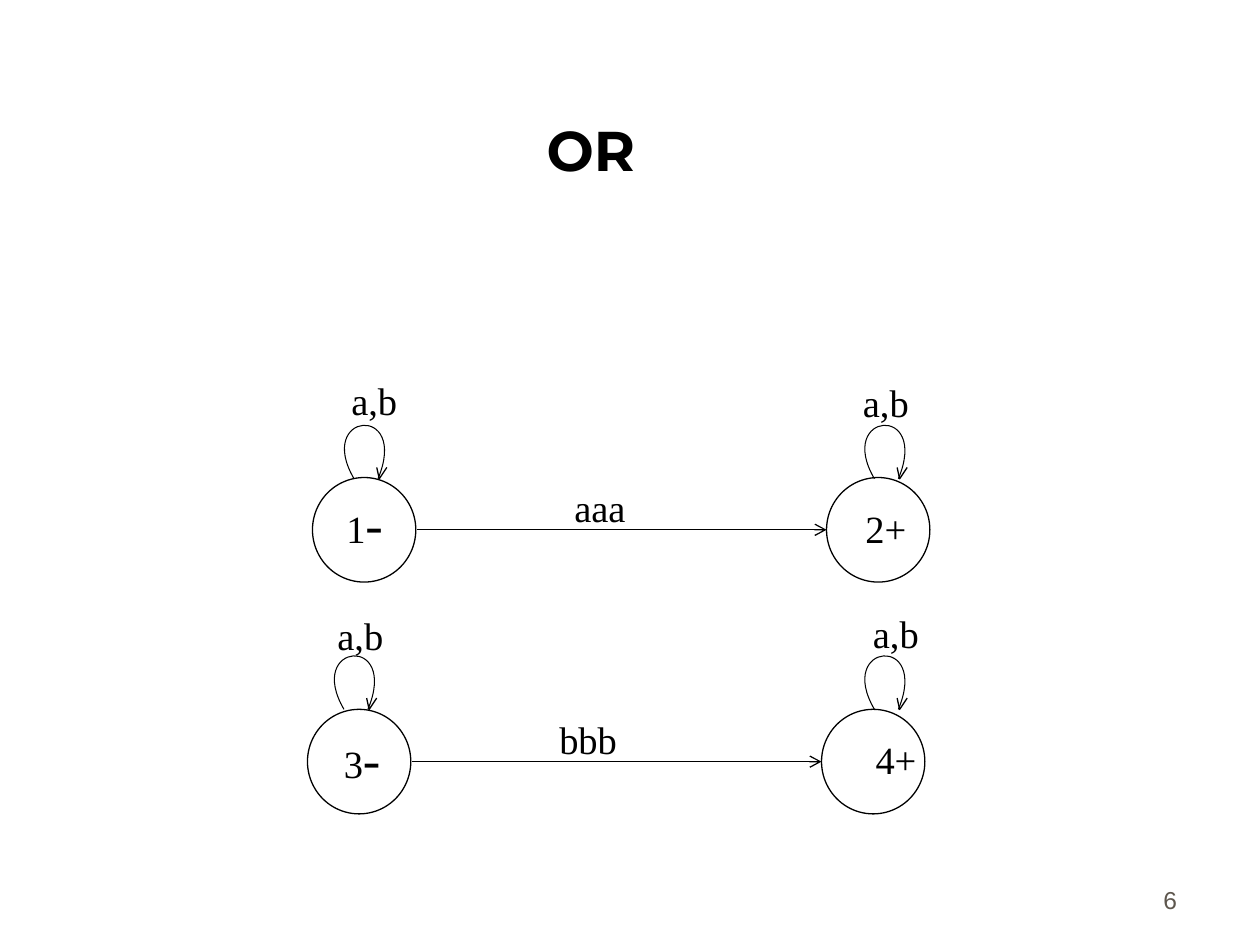
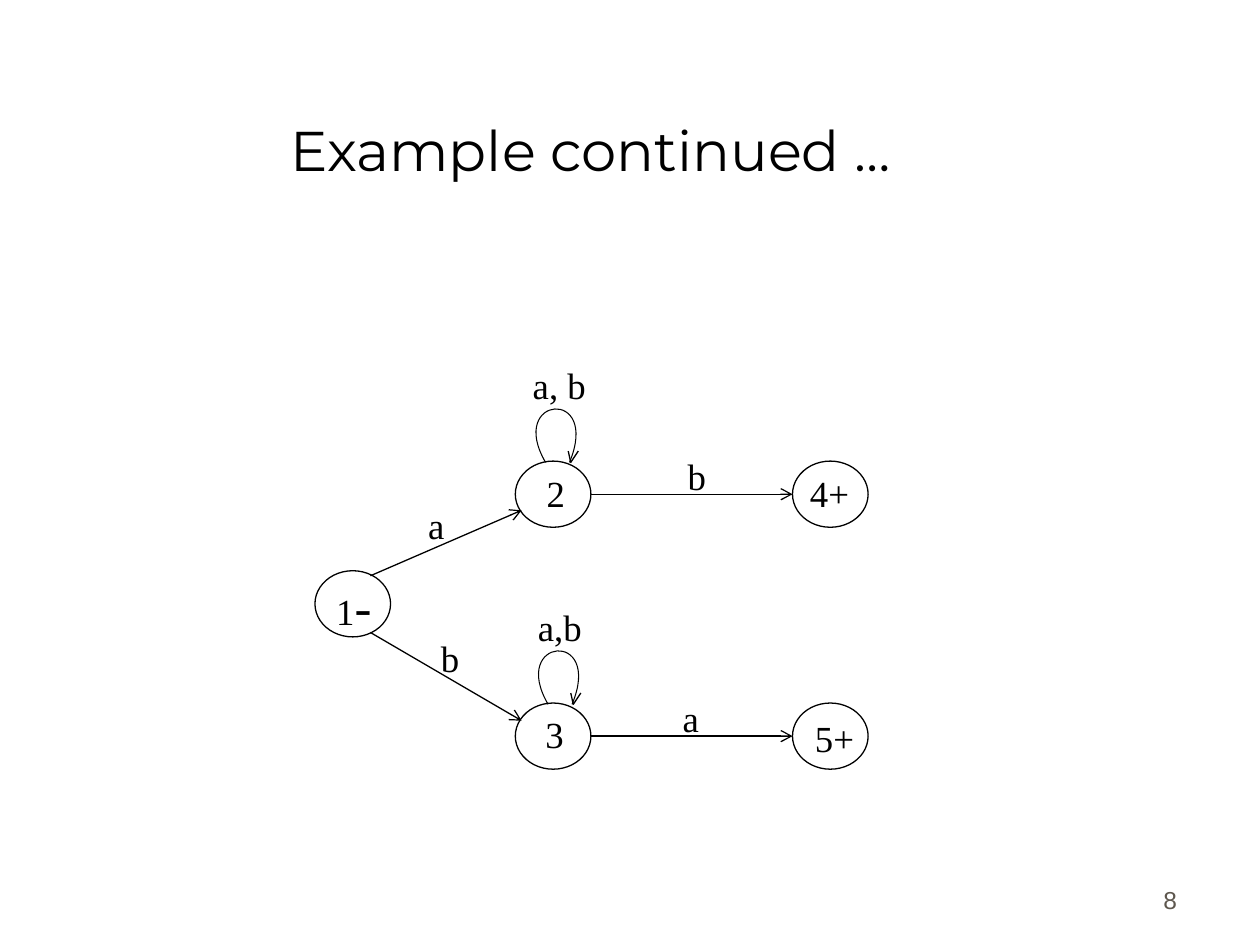
from lxml.etree import SubElement
from pptx import Presentation
from pptx.dml.color import RGBColor
from pptx.enum.shapes import MSO_CONNECTOR, MSO_SHAPE
from pptx.enum.text import MSO_ANCHOR, PP_ALIGN
from pptx.oxml.ns import qn
from pptx.util import Inches, Pt

BLACK = RGBColor(0x00, 0x00, 0x00)
WHITE = RGBColor(0xFF, 0xFF, 0xFF)
NUMBER_GREY = RGBColor(0x5E, 0x57, 0x4E)
TITLE_FONT, LABEL_FONT, NUMBER_FONT = "Montserrat", "Times New Roman", "Arial"
COLUMNS, ROWS = 100, 75
LINE_WIDTH, LOOP_WIDTH = 0.75, 0.6
MINUS_EXTRA = 8
LOOP_CURVE = [(-3.1, -5.3), (4.4, -6), (1.9, 0)]
LOOP_HEAD = [(1.8, -0.9), (2, 0), (2.6, -0.9)]


def grid(*cells):
    """Turn columns or rows of the square grid into lengths."""
    return [Inches(cell * 10 / COLUMNS) for cell in cells]


def add_text(page, area, text, font, size, color=BLACK, bold=False,
             align=PP_ALIGN.LEFT, anchor=MSO_ANCHOR.TOP):
    """Add a one-paragraph text box and return its paragraph."""
    frame = page.shapes.add_textbox(*grid(*area)).text_frame
    frame.word_wrap = True
    frame.vertical_anchor = anchor
    para = frame.paragraphs[0]
    para.text = text
    para.alignment = align
    style_span(para.runs[0], font, size, color, bold)
    return para


def style_span(span, font, size, color=BLACK, bold=False):
    """Give a run its font, size, colour and weight."""
    span.font.name = font
    span.font.size = Pt(size)
    span.font.color.rgb = color
    span.font.bold = bold


def add_page(deck, title, number, bold=False):
    """Add a blank slide with the shared title and page number."""
    page = deck.slides.add_slide(deck.slide_layouts[6])
    add_text(page, (4.4, 2.5, 85, 12.5), title, TITLE_FONT, 32, bold=bold,
             align=PP_ALIGN.CENTER, anchor=MSO_ANCHOR.BOTTOM)
    add_text(page, (73.6, 68.1, 20.8, 5), str(number), NUMBER_FONT, 14,
             NUMBER_GREY, align=PP_ALIGN.RIGHT, anchor=MSO_ANCHOR.BOTTOM)
    return page


def add_label(page, left, top, text, size, box_size):
    """Add a state or edge label; a minus sign is set larger."""
    name, minus, _ = text.partition("-")
    para = add_text(page, (left, top, *box_size), name, LABEL_FONT, size)
    if minus:
        span = para.add_run()
        span.text = minus
        style_span(span, LABEL_FONT, size + MINUS_EXTRA)


def add_state(page, left, top, width, height):
    """Add the circle of a state."""
    circle = page.shapes.add_shape(
        MSO_SHAPE.OVAL, *grid(left, top, width, height))
    circle.shadow.inherit = False
    circle.fill.solid()
    circle.fill.fore_color.rgb = WHITE
    style_line(circle.line)


def style_line(line, width=LINE_WIDTH):
    """Draw a line in black at the given width."""
    line.color.rgb = BLACK
    line.width = Pt(width)


def add_arrow(page, start, end):
    """Add a straight transition with an open arrowhead."""
    arrow = page.shapes.add_connector(
        MSO_CONNECTOR.STRAIGHT, *grid(*start, *end))
    style_line(arrow.line)
    SubElement(arrow.line._get_or_add_ln(), qn("a:tailEnd"), type="arrow")
    SubElement(arrow._element.spPr, qn("a:effectLst"))


def add_outline(page, points, width):
    """Add an open, unfilled outline through the points."""
    start, *others = [tuple(grid(*point)) for point in points]
    builder = page.shapes.build_freeform(*start)
    builder.add_line_segments(others, close=False)
    outline = builder.convert_to_shape()
    outline.shadow.inherit = False
    outline.fill.background()
    style_line(outline.line, width)
    return outline


def add_loop(page, left, top):
    """Add a curved transition from a state back to itself."""
    def place(offsets):
        return [(left + across, top + down) for across, down in offsets]

    curve = add_outline(page, place([(0, 0), *LOOP_CURVE]), LOOP_WIDTH)
    outline = curve._element.find(".//" + qn("a:path"))
    bend = SubElement(outline, qn("a:cubicBezTo"))
    for segment in outline.findall(qn("a:lnTo")):
        bend.append(segment[0])
        outline.remove(segment)
    add_outline(page, place(LOOP_HEAD), LINE_WIDTH)


def draw_automaton(page, states, state_size, arrows, loops, labels,
                   label_size, label_box):
    """Draw states, transitions and labels from back to front."""
    for left, top in states:
        add_state(page, left, top, *state_size)
    for start, end in arrows:
        add_arrow(page, start, end)
    for left, top in loops:
        add_loop(page, left, top)
    for left, top, text in labels:
        add_label(page, left, top, text, label_size, label_box)


def draw_two_rows(page):
    """Draw two separate automata, one in each row."""
    starts = [(24.8, 37.9), (24.4, 56.3)]
    reach, diameter = 40.8, 8.2
    states = [(left + step, top) for left, top in starts
              for step in (0, reach)]
    arrows = [((left + diameter + 0.1, top + 4.15), (left + reach, top + 4.15))
              for left, top in starts]
    loops = [(28.1, 38), (69.4, 38), (27.3, 56.3), (69.4, 56.3)]
    labels = [
        (26.5, 38.5, "1-"), (67.7, 39.6, "2+"), (44.6, 37.9, "aaa"),
        (26.9, 29.4, "a,b"), (67.5, 29.6, "a,b"),
        (26.3, 57.1, "3-"), (68.5, 57.9, "4+"), (43.4, 56.3, "bbb"),
        (25.8, 48.1, "a,b"), (68.3, 47.9, "a,b"),
    ]
    draw_automaton(page, states, (diameter, 8.3), arrows, loops, labels,
                   22, (9.8, 6.7))


def draw_branches(page):
    """Draw one automaton that splits into two branches."""
    width, height = 6, 5.25
    middle, right = 40.9, 62.9
    tops = (36.6, 55.8)
    states = [(25, 45.3)] + [(left, top) for top in tops
                             for left in (middle, right)]
    arrows = [((29.4, 45.7), (41.4, 40.5)), ((29.4, 50.2), (41.4, 57.2))]
    arrows += [((middle + width, top + height / 2), (right, top + height / 2))
               for top in tops]
    loops = [(43.3, 36.7), (43.5, 55.9)]
    labels = [
        (25.7, 45.1, "1-"), (42.4, 36.9, "2"), (42.3, 56, "3"),
        (63.3, 36.9, "4+"), (63.7, 56.3, "5+"),
        (33, 39.4, "a"), (34, 50, "b"), (53.6, 35.5, "b"), (53.2, 54.7, "a"),
        (41.3, 28.3, "a, b"), (41.7, 47.5, "a,b"),
    ]
    draw_automaton(page, states, (width, height), arrows, loops, labels,
                   21, (7, 5.3))


def main():
    """Build and save the deck."""
    deck = Presentation()
    deck.slide_width, deck.slide_height = grid(COLUMNS, ROWS)
    draw_two_rows(add_page(deck, "OR", 6, bold=True))
    draw_branches(add_page(deck, "Example continued …", 8))
    deck.save("out.pptx")


if __name__ == "__main__":
    main()
